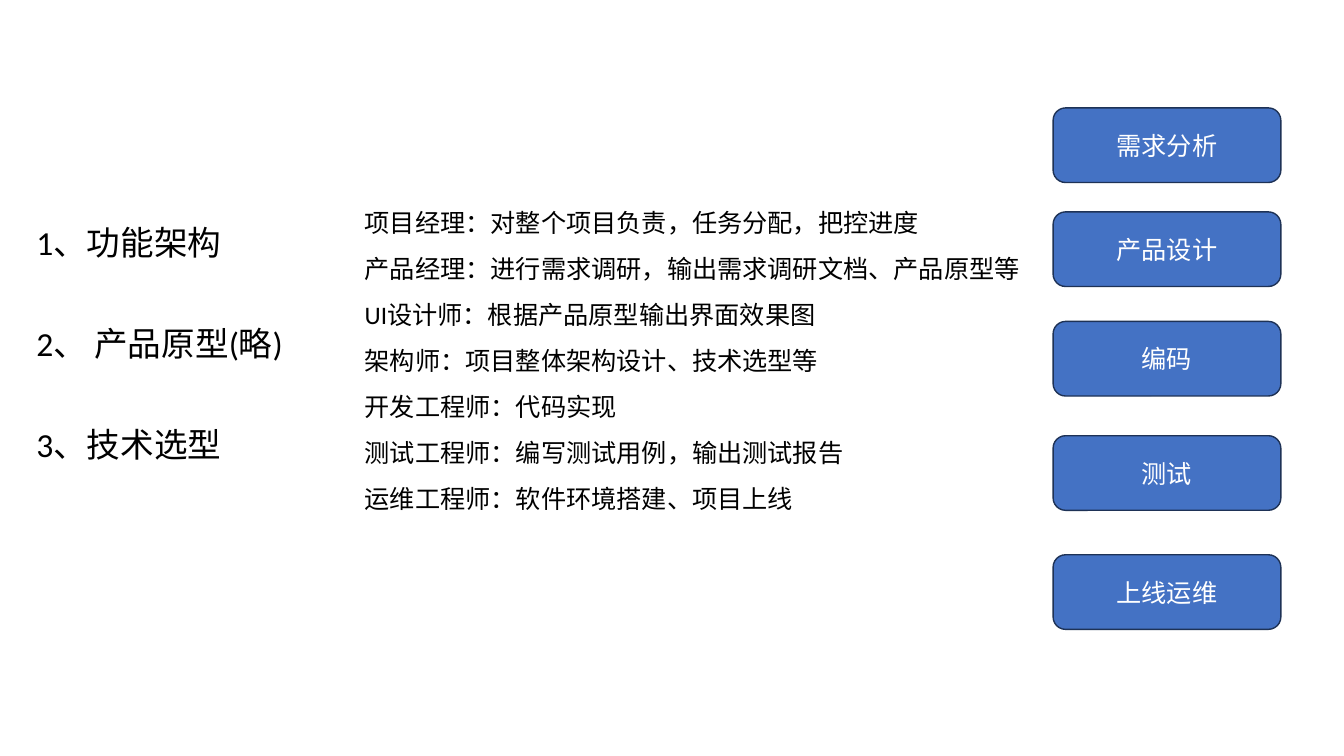
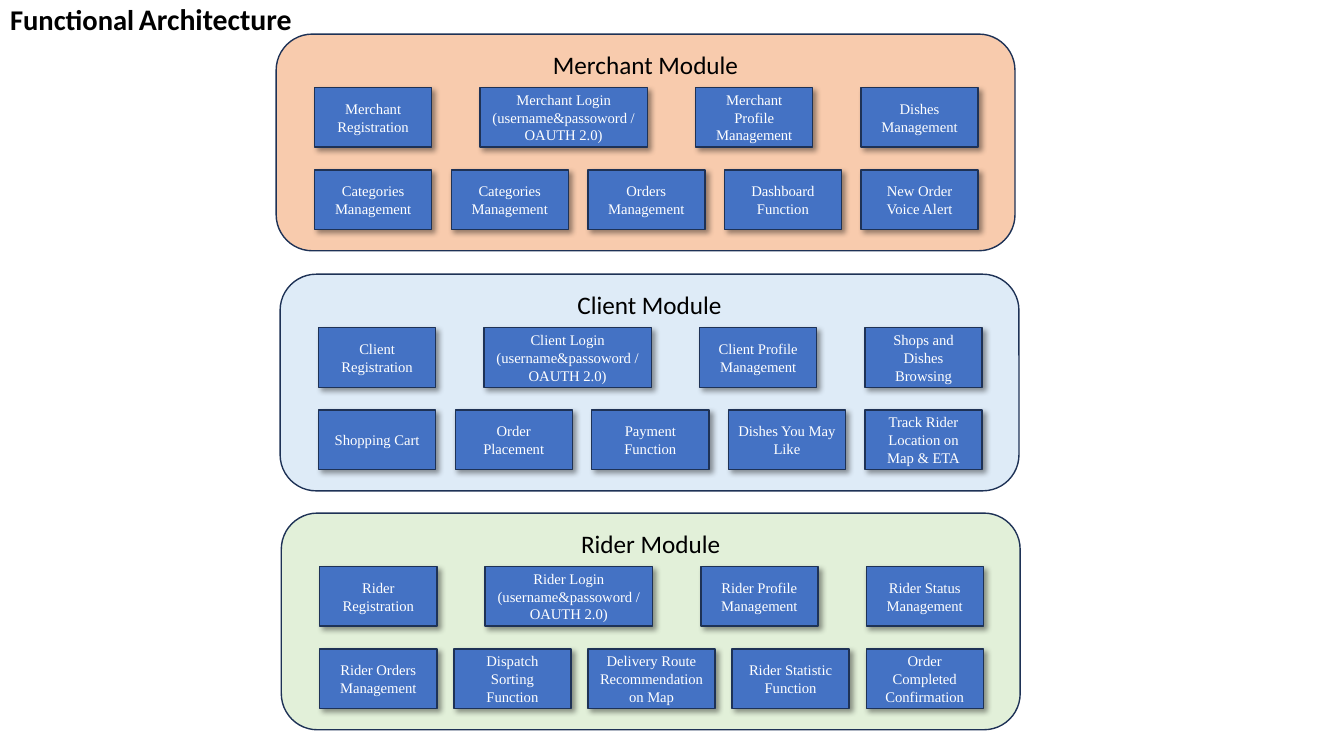
"""Build two slides: project roles and stages, then the functional architecture."""
from dataclasses import dataclass

from lxml.etree import SubElement
from pptx import Presentation
from pptx.dml.color import RGBColor
from pptx.enum.shapes import MSO_SHAPE
from pptx.enum.text import MSO_ANCHOR, MSO_AUTO_SIZE, PP_ALIGN
from pptx.oxml.ns import qn
from pptx.util import Cm, Pt


@dataclass(frozen=True)
class Theme:
    ink: str = "000000"
    paper: str = "FFFFFF"
    blue: str = "4472C4"
    line: str = "1E3256"
    orange: str = "F8CBAD"
    sky: str = "DEEBF7"
    green: str = "E2F0D9"
    sans: str = "Calibri"
    serif: str = "Times New Roman"
    topic: float = 24
    text: float = 18
    tile: float = 10.5


T = Theme()


def add_run(p, text, size, color=T.ink, font=T.sans, bold=False):
    r = p.add_run()
    r.text = text
    r.font.size = Pt(size)
    r.font.name = font
    r.font.bold = bold
    r.font.color.rgb = RGBColor.from_string(color)


def add_box(shapes, kind, at, fill, anchor=MSO_ANCHOR.MIDDLE):
    sp = shapes.add_shape(kind, *map(Cm, at))
    sp.shadow.inherit = False
    sp.fill.solid()
    sp.fill.fore_color.rgb = RGBColor.from_string(fill)
    sp.line.color.rgb = RGBColor.from_string(T.line)
    sp.line.width = Pt(1)
    tf = sp.text_frame
    tf.word_wrap = True
    tf.vertical_anchor = anchor
    tf.paragraphs[0].alignment = PP_ALIGN.CENTER
    return sp


prs = Presentation()
prs.slide_width, prs.slide_height = Cm(33.87), Cm(19.05)

s = prs.slides.add_slide(prs.slide_layouts[0])
title = s.shapes.title.element
title.getparent().remove(title)

sp = s.placeholders[1]
sp.left, sp.top, sp.width, sp.height = Cm(0.66), Cm(5.59), Cm(25.4), Cm(7.5)
tf = sp.text_frame
tf.auto_size = MSO_AUTO_SIZE.NONE
tf.vertical_anchor = MSO_ANCHOR.TOP
for i, topic in enumerate(["1、功能架构", "2、 产品原型(略)", "3、技术选型"]):
    p = tf.add_paragraph() if i else tf.paragraphs[0]
    p.alignment = PP_ALIGN.LEFT
    p.line_spacing = 0.9
    p.space_before = Pt(46 if i else 10)
    add_run(p, topic, T.topic)

roles = [
    "项目经理：对整个项目负责，任务分配，把控进度",
    "产品经理：进行需求调研，输出需求调研文档、产品原型等",
    "UI设计师：根据产品原型输出界面效果图",
    "架构师：项目整体架构设计、技术选型等",
    "开发工程师：代码实现",
    "测试工程师：编写测试用例，输出测试报告",
    "运维工程师：软件环境搭建、项目上线",
]
tf = s.shapes.add_textbox(Cm(8.94), Cm(4.98), Cm(17.58), Cm(8.1)).text_frame
tf.word_wrap = True
for i, role in enumerate(roles):
    p = tf.add_paragraph() if i else tf.paragraphs[0]
    p.line_spacing = 1.15
    p.space_after = Pt(8)
    add_run(p, role, T.text)

stages = [("需求分析", 2.72), ("产品设计", 5.34), ("编码", 8.1), ("测试", 10.98), ("上线运维", 13.98)]
for stage, top in stages:
    sp = add_box(s.shapes, MSO_SHAPE.ROUNDED_RECTANGLE, (26.54, top, 5.74, 1.88), T.blue)
    add_run(sp.text_frame.paragraphs[0], stage, T.text, T.paper)

s = prs.slides.add_slide(prs.slide_layouts[5])
sp = s.shapes.title
sp.left, sp.top, sp.width, sp.height = Cm(0), Cm(0), Cm(7.92), Cm(1.75)
tf = sp.text_frame
tf.auto_size = MSO_AUTO_SIZE.NONE
tf.vertical_anchor = MSO_ANCHOR.TOP
p = tf.paragraphs[0]
p.alignment = PP_ALIGN.LEFT
p.line_spacing = 0.9
p.space_before = Pt(10)
for word, size in [("Functional", 20.4), (" ", 14.8), ("Architecture", 21.3)]:
    add_run(p, word, size, bold=True)

LOGIN = "Login (username&passoword / OAUTH 2.0)"
modules = [
    ("Merchant", T.orange, 6.96, 0.86, [
        ["Merchant Registration", f"Merchant {LOGIN}", "Merchant Profile Management",
         "Dishes Management"],
        ["Categories Management", "Categories Management", "Orders Management",
         "Dashboard Function", "New Order Voice Alert"],
    ]),
    ("Client", T.sky, 7.06, 6.91, [
        ["Client Registration", f"Client {LOGIN}", "Client Profile Management",
         "Shops and Dishes Browsing"],
        ["Shopping Cart", "Order Placement", "Payment Function",
         "Dishes You May Like", "Track Rider Location on Map & ETA"],
    ]),
    ("Rider", T.green, 7.09, 12.93, [
        ["Rider Registration", f"Rider {LOGIN}", "Rider Profile Management",
         "Rider Status Management"],
        ["Rider Orders Management", "Dispatch Sorting Function",
         "Delivery Route Recommendation on Map", "Rider Statistic Function",
         "Order Completed Confirmation"],
    ]),
]
TILE_W, TILE_H, ROW_W, INSET = 2.95, 1.5, 16.72, 0.97
WIDE = {"Login": 4.22, "Recommendation": 3.2}

for name, fill, left, top, rows in modules:
    group = s.shapes.add_group_shape()
    sp = add_box(group.shapes, MSO_SHAPE.ROUNDED_RECTANGLE, (left, top, 18.62, 5.46), fill,
                 MSO_ANCHOR.TOP)
    add_run(sp.text_frame.paragraphs[0], f"{name} Module", T.text)
    for labels, dy in zip(rows, (1.35, 3.42)):
        widths = [next((w for key, w in WIDE.items() if key in label), TILE_W) for label in labels]
        gap = (ROW_W - sum(widths)) / (len(labels) - 1)
        x = left + INSET
        for label, width in zip(labels, widths):
            sp = add_box(group.shapes, MSO_SHAPE.RECTANGLE, (x, top + dy, width, TILE_H), T.blue)
            add_run(sp.text_frame.paragraphs[0], label, T.tile, T.paper, T.serif)
            effects = sp.element.spPr.find(qn("a:effectLst"))
            shadow = SubElement(effects, qn("a:outerShdw"), blurRad=str(Pt(4)), dist=str(Pt(3)),
                                dir="2700000", algn="tl", rotWithShape="0")
            color = SubElement(shadow, qn("a:srgbClr"), val=T.ink)
            SubElement(color, qn("a:alpha"), val="40000")
            x += width + gap

prs.save("out.pptx")
